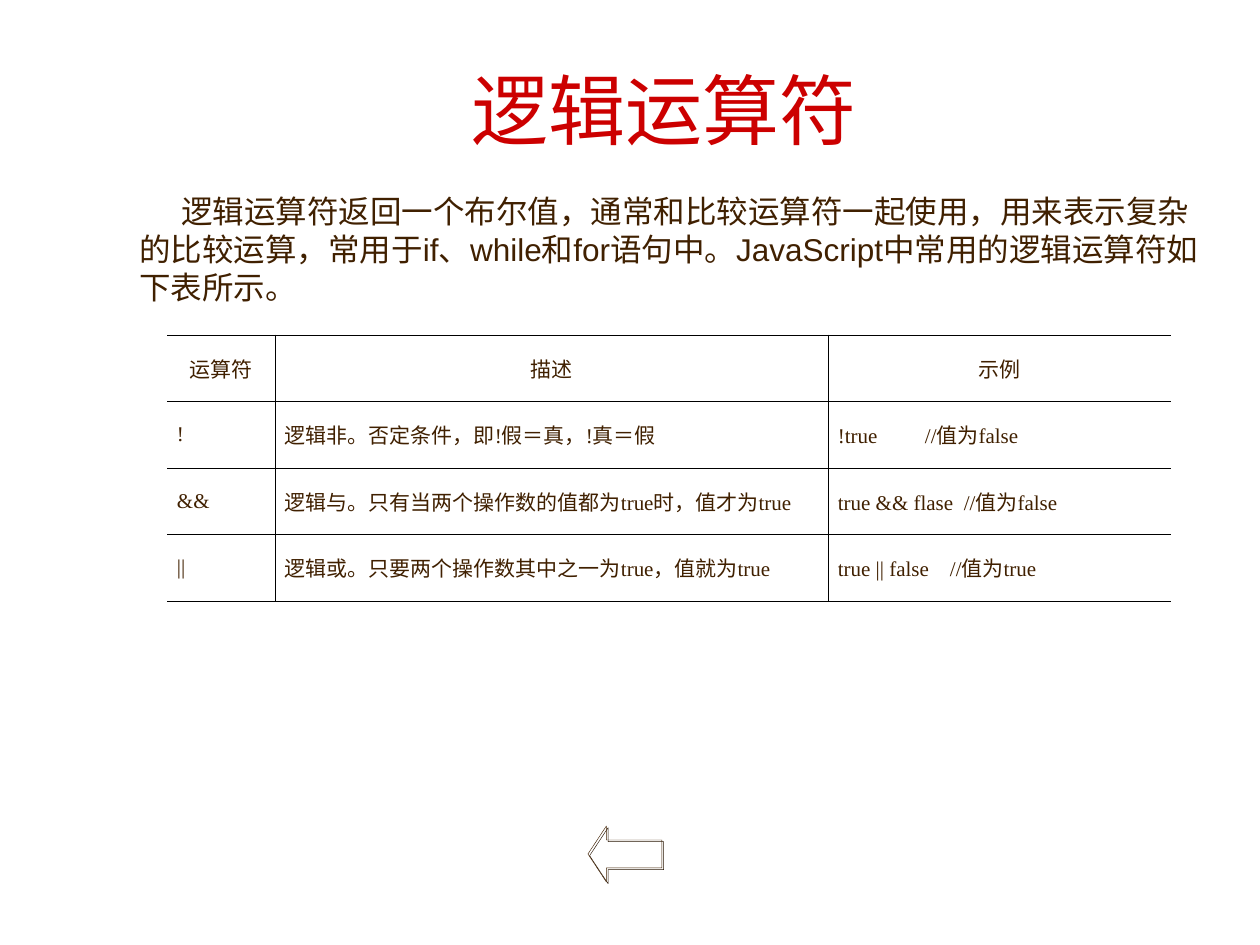
from dataclasses import dataclass

from lxml.etree import SubElement
from pptx import Presentation
from pptx.dml.color import RGBColor
from pptx.enum.shapes import MSO_SHAPE
from pptx.enum.text import MSO_ANCHOR, PP_ALIGN
from pptx.oxml.ns import qn
from pptx.util import Emu, Pt


@dataclass(frozen=True)
class Theme:
    title: str = "CC0000"
    text: str = "402000"
    shade: str = "261300"
    rule: str = "000000"
    sans: str = "Arial"
    serif: str = "Times New Roman"
    head_size: int = 44
    body_size: int = 18
    cell_size: int = 12
    rule_width: float = 0.45
    edge_width: float = 0.25


THEME = Theme()
NO_STYLE = "{2D5ABB26-0587-4C30-8999-92F81FD0307C}"

BODY = ("逻辑运算符返回一个布尔值，通常和比较运算符一起使用，用来表示复杂的比较运算，"
        "常用于if、while和for语句中。JavaScript中常用的逻辑运算符如下表所示。")
HEADS = ("运算符", "描述", "示例")
# Operator, meaning, sample code, and the tab stop of its comment in px
RULES = (
    ("!", "逻辑非。否定条件，即!假＝真，!真＝假", "!true\t//值为false", 87),
    ("&&", "逻辑与。只有当两个操作数的值都为true时，值才为true",
     "true && flase\t//值为false", 126),
    ("||", "逻辑或。只要两个操作数其中之一为true，值就为true",
     "true || false\t//值为true", 112),
)


def px(count):
    return Emu(round(count * 914400 / 126))


def node(parent, tag, **attrs):
    return SubElement(parent, qn(tag), {k: str(v) for k, v in attrs.items()})


def write(frame, text, size, font, color, align):
    para = frame.paragraphs[0]
    para.text = text
    para.alignment = align
    for run in para.runs:
        run.font.size = Pt(size)
        run.font.name = font
        run.font.color.rgb = RGBColor.from_string(color)
    return para


def add_title(slide, text):
    title = slide.shapes.title
    title.left, title.top, title.width, title.height = map(px, (127, 39, 1074, 140))
    title.text_frame.vertical_anchor = MSO_ANCHOR.MIDDLE
    write(title.text_frame, text, THEME.head_size, THEME.serif, THEME.title,
          PP_ALIGN.CENTER)


def add_body(slide, text):
    box = slide.shapes.add_textbox(*map(px, (127, 186, 1099, 126)))
    box.text_frame.word_wrap = True
    para = write(box.text_frame, text, THEME.body_size, THEME.sans, THEME.text,
                 PP_ALIGN.LEFT)
    para._p.get_or_add_pPr().set("indent", str(px(42)))


def add_arrow(slide):
    arrow = slide.shapes.add_shape(MSO_SHAPE.LEFT_ARROW, *map(px, (588, 826, 74, 56)))
    arrow.adjustments[1] = 0.33
    arrow.fill.background()
    arrow.line.color.rgb = RGBColor.from_string(THEME.text)
    arrow.line.width = Pt(THEME.edge_width)
    # Hard shadow, down and to the right
    arrow.shadow.inherit = False
    effects = arrow._element.spPr.find(qn("a:effectLst"))
    shadow = node(effects, "a:outerShdw", blurRad=0, dist=Pt(1.4), dir=45 * 60000)
    node(shadow, "a:srgbClr", val=THEME.shade)


def add_edges(cell, sides):
    props = cell._tc.get_or_add_tcPr()
    for side in "LRTB":
        line = node(props, f"a:ln{side}", w=Pt(THEME.rule_width))
        if side in sides:
            fill = node(line, "a:solidFill")
            node(fill, "a:srgbClr", val=THEME.rule)
        else:
            node(line, "a:noFill")


def fill_cell(cell, text, align, sides):
    add_edges(cell, sides)
    cell.fill.background()
    cell.vertical_anchor = MSO_ANCHOR.MIDDLE
    cell.margin_left = cell.margin_right = px(10)
    cell.margin_top = cell.margin_bottom = px(6)
    return write(cell.text_frame, text, THEME.cell_size, THEME.serif, THEME.text, align)


def add_rules(slide):
    widths, height = (108, 553, 343), 266
    rows = (HEADS, *(rule[:3] for rule in RULES))
    frame = slide.shapes.add_table(len(rows), len(widths), px(167), px(335),
                                   px(sum(widths)), px(height))
    table = frame.table
    table.first_row = table.horz_banding = False
    table._tbl.tblPr.find(qn("a:tableStyleId")).text = NO_STYLE
    for col, width in zip(table.columns, widths):
        col.width = px(width)
    # Open at the far left and right, ruled elsewhere
    edges = ("RTB", "LRTB", "LTB")
    for r, row in enumerate(rows):
        align = PP_ALIGN.JUSTIFY if r else PP_ALIGN.CENTER
        for c, text in enumerate(row):
            para = fill_cell(table.cell(r, c), text, align, edges[c])
            if "\t" in text:
                tabs = node(para._p.get_or_add_pPr(), "a:tabLst")
                node(tabs, "a:tab", pos=px(RULES[r - 1][3]), algn="l")


def main():
    deck = Presentation()
    deck.slide_width, deck.slide_height = px(1260), px(945)
    slide = deck.slides.add_slide(deck.slide_layouts[5])
    add_title(slide, "逻辑运算符")
    add_body(slide, BODY)
    add_arrow(slide)
    add_rules(slide)
    deck.save("out.pptx")


if __name__ == "__main__":
    main()
